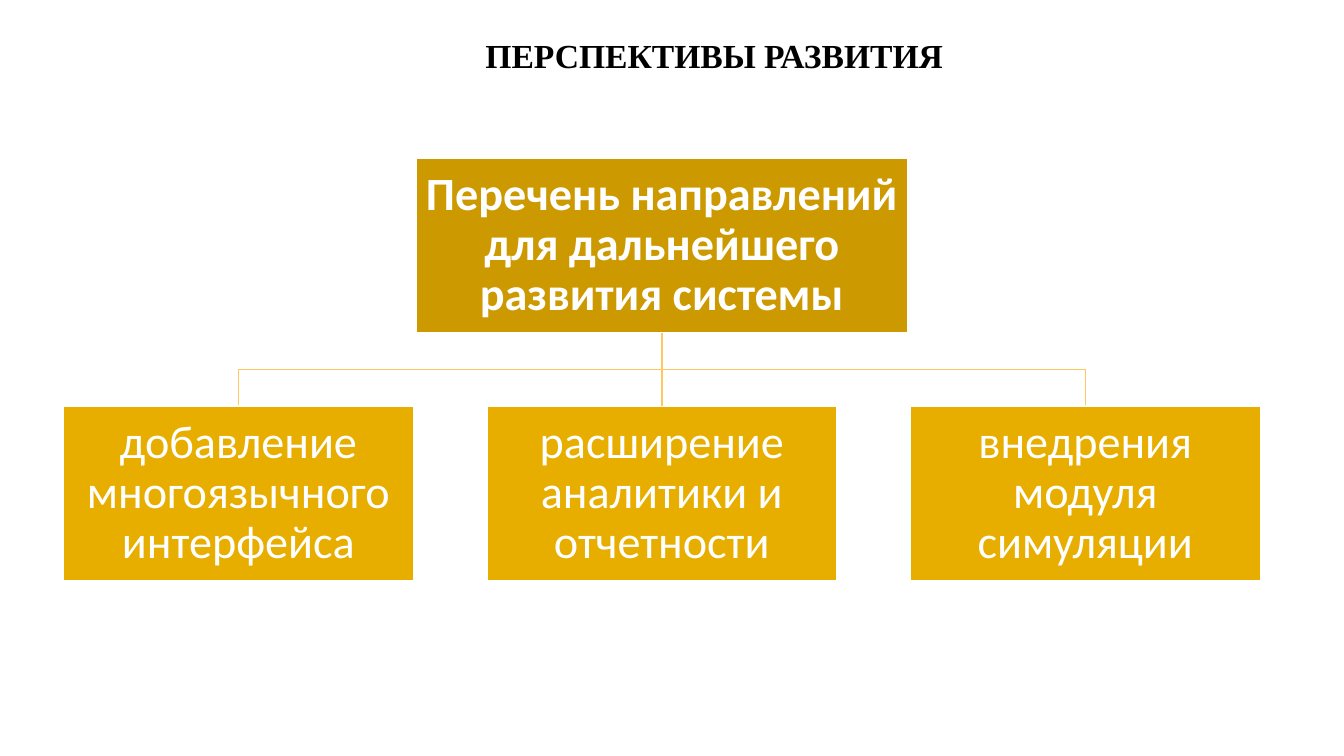
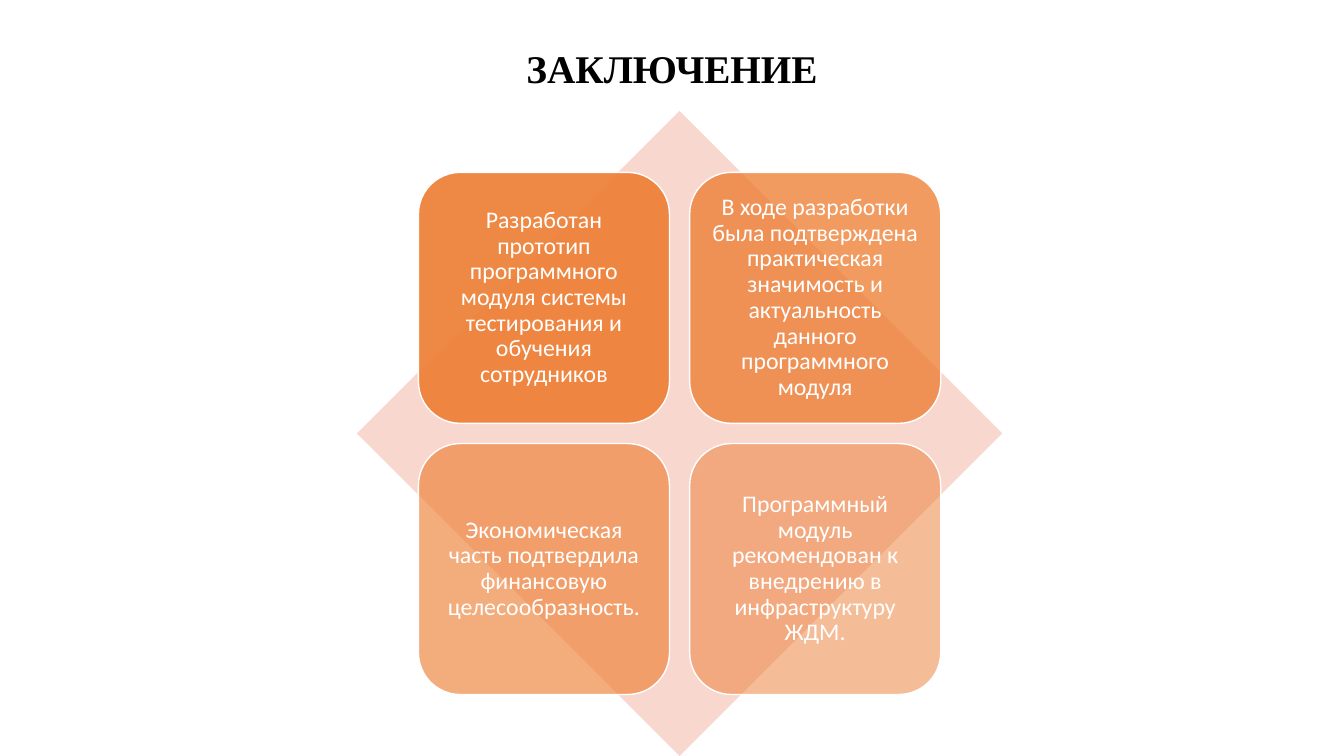
"""Builds two slides: a tree of development directions and a matrix of conclusions."""
from dataclasses import dataclass

from lxml import etree
from pptx import Presentation
from pptx.dml.color import RGBColor
from pptx.enum.shapes import MSO_CONNECTOR, MSO_SHAPE
from pptx.enum.text import MSO_ANCHOR, MSO_AUTO_SIZE, PP_ALIGN
from pptx.oxml.ns import qn
from pptx.util import Emu, Pt

RECT, ROUNDED, DIAMOND = MSO_SHAPE.RECTANGLE, MSO_SHAPE.ROUNDED_RECTANGLE, MSO_SHAPE.DIAMOND
STRAIGHT = MSO_CONNECTOR.STRAIGHT
TOP, MIDDLE = MSO_ANCHOR.TOP, MSO_ANCHOR.MIDDLE
CENTER, NO_FIT = PP_ALIGN.CENTER, MSO_AUTO_SIZE.NONE
SIDE_TOP, SIDE_BOTTOM = 0, 2
TITLE_ONLY = 5
SCALE = 9144
SLIDE_SIZE = (1333, 750)


@dataclass(frozen=True)
class Theme:
    title_font: str = "Times New Roman"
    body_font: str = "Calibri"
    title_color: str = "000000"
    text_color: str = "FFFFFF"
    outline: str = "FFFFFF"
    root_fill: str = "CC9A00"
    branch_fill: str = "E7AE00"
    link: str = "FFC75E"
    diamond_fill: str = "F8D7CE"
    card_fill: str = "ED7D31"
    tree_size: int = 33
    card_size: int = 17
    line_width: int = 1
    line_spacing: float = 0.9


THEME = Theme()

PROSPECTS = {
    "title": "ПЕРСПЕКТИВЫ РАЗВИТИЯ",
    "title_box": (127, 30, 1163, 50),
    "title_size": 24,
    "root": "Перечень направлений для дальнейшего развития системы",
    "branches": [
        "добавление многоязычного интерфейса",
        "расширение аналитики и отчетности",
        "внедрения модуля симуляции",
    ],
}
CONCLUSION = {
    "title": "ЗАКЛЮЧЕНИЕ",
    "title_box": (251, 39, 831, 57),
    "title_size": 28,
    "cards": [
        ("Разработан прототип программного модуля системы тестирования и обучения сотрудников", 90),
        ("В ходе разработки была подтверждена практическая значимость и актуальность "
         "данного программного модуля", 77),
        ("Экономическая часть подтвердила финансовую целесообразность.", 63),
        ("Программный модуль рекомендован к внедрению в инфраструктуру ЖДМ.", 50),
    ],
}

ROOT_BOX = (413, 157, 487, 173)
BRANCH_LEFT, BRANCH_TOP, BRANCH_STEP = 63, 403, 420
BRANCH_SIZE = (347, 173)
TREE_INSET = 2
DIAMOND_BOX = (354, 110, 640, 640)
CARD_LEFT, CARD_TOP, CARD_SIDE, CARD_STEP = 415, 171, 249, 269
CARD_INSET = 7


def px(*lengths):
    return [Emu(round(length * SCALE)) for length in lengths]


def rgb(color):
    return RGBColor.from_string(color)


def style_text(frame, text, font, size, color, bold, anchor):
    frame.text = text
    frame.word_wrap = True
    frame.auto_size = NO_FIT
    frame.vertical_anchor = anchor
    paragraph = frame.paragraphs[0]
    paragraph.alignment = CENTER
    for run in paragraph.runs:
        run.font.name, run.font.size, run.font.bold = font, Pt(size), bold
        run.font.color.rgb = rgb(color)
    return paragraph


def style_line(line, color):
    line.color.rgb = rgb(color)
    line.width = Pt(THEME.line_width)


def add_titled_slide(deck, content):
    slide = deck.slides.add_slide(deck.slide_layouts[TITLE_ONLY])
    title = slide.shapes.title
    title.left, title.top, title.width, title.height = px(*content["title_box"])
    style_text(title.text_frame, content["title"], THEME.title_font,
               content["title_size"], THEME.title_color, True, TOP)
    return slide


def add_panel(slide, kind, box, fill, opacity=100):
    panel = slide.shapes.add_shape(kind, *px(*box))
    panel.shadow.inherit = False
    panel.fill.solid()
    panel.fill.fore_color.rgb = rgb(fill)
    if opacity < 100:
        color = panel._element.spPr.find(qn("a:solidFill")).find(qn("a:srgbClr"))
        etree.SubElement(color, qn("a:alpha")).set("val", str(opacity * 1000))
    panel.line.fill.background()
    return panel


def add_card(slide, kind, box, fill, text, size, inset, bold=False, opacity=100):
    card = add_panel(slide, kind, box, fill, opacity)
    style_line(card.line, THEME.outline)
    frame = card.text_frame
    frame.margin_left, frame.margin_top, frame.margin_right, frame.margin_bottom = px(*[inset] * 4)
    paragraph = style_text(frame, text, THEME.body_font, size, THEME.text_color, bold, MIDDLE)
    paragraph.line_spacing = THEME.line_spacing
    return card


def add_elbow(slide, start, end):
    bend_y = (start[1] + end[1]) / 2
    outline = slide.shapes.build_freeform(*px(*start))
    corners = [(start[0], bend_y), (end[0], bend_y), end]
    outline.add_line_segments([px(*corner) for corner in corners], close=False)
    elbow = outline.convert_to_shape()
    elbow.shadow.inherit = False
    elbow.fill.background()
    style_line(elbow.line, THEME.link)


def add_trunk(slide, start, end, root, branch):
    trunk = slide.shapes.add_connector(STRAIGHT, *px(*start, *end))
    style_line(trunk.line, THEME.link)
    etree.SubElement(trunk._element.spPr, qn("a:effectLst"))
    trunk.begin_connect(root, SIDE_BOTTOM)
    trunk.end_connect(branch, SIDE_TOP)


def build_prospects(deck):
    slide = add_titled_slide(deck, PROSPECTS)
    lefts = [BRANCH_LEFT + BRANCH_STEP * i for i in range(len(PROSPECTS["branches"]))]
    branch_tops = [(left + BRANCH_SIZE[0] / 2, BRANCH_TOP) for left in lefts]
    root_bottom = (ROOT_BOX[0] + ROOT_BOX[2] / 2, ROOT_BOX[1] + ROOT_BOX[3])
    for outer_top in (branch_tops[-1], branch_tops[0]):
        add_elbow(slide, root_bottom, outer_top)
    root = add_card(slide, RECT, ROOT_BOX, THEME.root_fill, PROSPECTS["root"],
                    THEME.tree_size, TREE_INSET, bold=True)
    branches = [
        add_card(slide, RECT, (left, BRANCH_TOP, *BRANCH_SIZE), THEME.branch_fill, text,
                 THEME.tree_size, TREE_INSET)
        for left, text in zip(lefts, PROSPECTS["branches"])
    ]
    add_trunk(slide, root_bottom, branch_tops[1], root, branches[1])


def build_conclusion(deck):
    slide = add_titled_slide(deck, CONCLUSION)
    add_panel(slide, DIAMOND, DIAMOND_BOX, THEME.diamond_fill)
    for i, (text, opacity) in enumerate(CONCLUSION["cards"]):
        row, column = divmod(i, 2)
        box = (CARD_LEFT + CARD_STEP * column, CARD_TOP + CARD_STEP * row, CARD_SIDE, CARD_SIDE)
        add_card(slide, ROUNDED, box, THEME.card_fill, text, THEME.card_size,
                 CARD_INSET, opacity=opacity)


def main():
    deck = Presentation()
    deck.slide_width, deck.slide_height = px(*SLIDE_SIZE)
    build_prospects(deck)
    build_conclusion(deck)
    deck.save("out.pptx")


if __name__ == "__main__":
    main()
